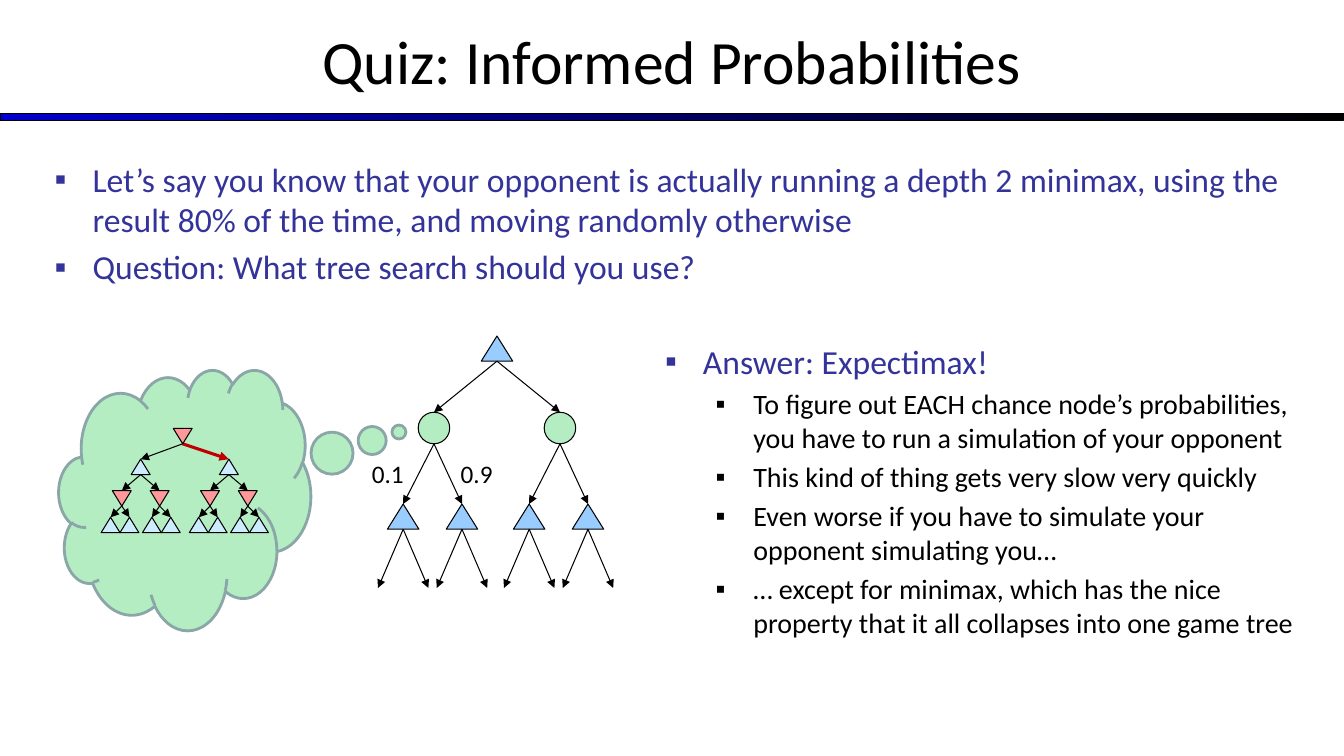
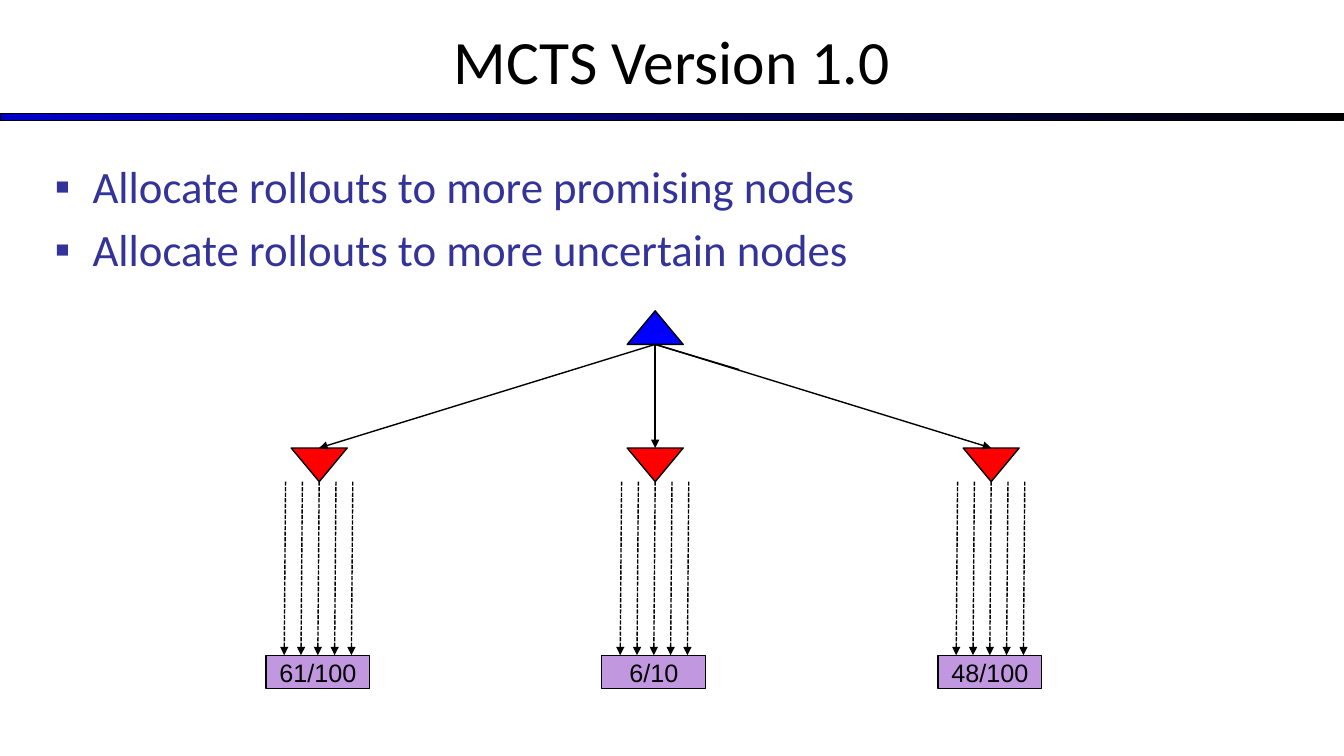
from lxml.etree import SubElement
from pptx import Presentation
from pptx.dml.color import RGBColor
from pptx.enum.dml import MSO_LINE
from pptx.enum.shapes import MSO_CONNECTOR, MSO_SHAPE as SHAPE
from pptx.enum.text import MSO_ANCHOR as ANCHOR, PP_ALIGN as ALIGN
from pptx.oxml.ns import qn
from pptx.util import Pt

BLACK = RGBColor(0x00, 0x00, 0x00)
BAND_BLUE = RGBColor(0x00, 0x00, 0xCC)
INDIGO = RGBColor(0x33, 0x33, 0x99)
MINT = RGBColor(0xB5, 0xED, 0xC2)
CLOUD_EDGE = RGBColor(0x8A, 0xA6, 0xA8)
SKY = RGBColor(0x99, 0xCC, 0xFF)
PALE_SKY = RGBColor(0xCC, 0xEC, 0xFF)
PINK = RGBColor(0xFF, 0x99, 0x99)
DARK_RED = RGBColor(0xC0, 0x00, 0x00)
BLUE = RGBColor(0x00, 0x00, 0xFF)
RED = RGBColor(0xFF, 0x00, 0x00)
LILAC = RGBColor(0xC1, 0x98, 0xE0)

WIDTH, HEIGHT = 960, 540
BULLET_INDENT = 27
LEVEL_STEP = 36


class Deck:
    """Holds the shared style and the slide being drawn; lengths are points."""

    def __init__(self):
        self.prs = Presentation()
        self.prs.slide_width, self.prs.slide_height = Pt(WIDTH), Pt(HEIGHT)
        self.shapes = None

    def new_slide(self, title):
        self.shapes = self.prs.slides.add_slide(self.prs.slide_layouts[6]).shapes
        band = self.shape(SHAPE.RECTANGLE, 0, 81, WIDTH, 5, BLACK)
        band.fill.gradient()
        band.fill.gradient_angle = 0
        for stop, color in zip(band.fill.gradient_stops, (BAND_BLUE, BLACK)):
            stop.color.rgb = color
        self.text(title, 0, -2, WIDTH, 90, 44, ALIGN.CENTER, ANCHOR.MIDDLE)

    def shape(self, kind, left, top, width, height, fill, edge=BLACK, weight=0.75):
        shape = self.shapes.add_shape(kind, Pt(left), Pt(top), Pt(width), Pt(height))
        shape.shadow.inherit = False
        shape.fill.solid()
        shape.fill.fore_color.rgb = fill
        shape.line.color.rgb = edge
        shape.line.width = Pt(weight)
        return shape

    def node(self, x, top, width, height, fill, kind=SHAPE.ISOSCELES_TRIANGLE,
             inverted=False, weight=0.75):
        """Draw a tree node centred on x."""
        node = self.shape(kind, x - width / 2, top, width, height, fill, weight=weight)
        if inverted:
            node.rotation = 180
        return node

    def line(self, start, end, color=BLACK, weight=0.75, dashed=False, arrow=True):
        line = self.shapes.add_connector(
            MSO_CONNECTOR.STRAIGHT, *(Pt(value) for value in (*start, *end)))
        line.line.color.rgb = color
        line.line.width = Pt(weight)
        if dashed:
            line.line.dash_style = MSO_LINE.SQUARE_DOT
        if arrow:
            SubElement(line.line._get_or_add_ln(), qn("a:tailEnd"), type="triangle")
        SubElement(line._element.spPr, qn("a:effectLst"))

    def style(self, paragraph, size, color=BLACK, font="Calibri"):
        paragraph.font.size = Pt(size)
        paragraph.font.name = font
        paragraph.font.color.rgb = color

    def frame(self, left, top, width, height):
        box = self.shapes.add_textbox(Pt(left), Pt(top), Pt(width), Pt(height))
        box.text_frame.word_wrap = True
        return box.text_frame

    def text(self, words, left, top, width, height, size,
             align=ALIGN.LEFT, anchor=ANCHOR.TOP):
        frame = self.frame(left, top, width, height)
        frame.vertical_anchor = anchor
        paragraph = frame.paragraphs[0]
        paragraph.text = words
        paragraph.alignment = align
        self.style(paragraph, size)

    def label(self, shape, words, size, font):
        """Centre one line of text in a shape."""
        frame = shape.text_frame
        frame.word_wrap = False
        frame.vertical_anchor = ANCHOR.MIDDLE
        paragraph = frame.paragraphs[0]
        paragraph.text = words
        paragraph.alignment = ALIGN.CENTER
        self.style(paragraph, size, font=font)

    def bullets(self, items, left, top, width, height, sizes):
        """Write (level, text) items; sizes gives the font size of each level."""
        frame = self.frame(left, top, width, height)
        for index, (level, words) in enumerate(items):
            paragraph = frame.add_paragraph() if index else frame.paragraphs[0]
            paragraph.text = words
            paragraph.level = level
            color = BLACK if level else INDIGO
            props = paragraph._p.get_or_add_pPr()
            props.set("marL", str(Pt(BULLET_INDENT + LEVEL_STEP * level)))
            props.set("indent", str(-Pt(BULLET_INDENT)))
            bullet_color = SubElement(props, qn("a:buClr"))
            SubElement(bullet_color, qn("a:srgbClr"), val=str(color))
            SubElement(props, qn("a:buFont"), typeface="Arial")
            SubElement(props, qn("a:buChar"), char="▪")
            if index:
                paragraph.space_before = Pt(0.2 * sizes[level])
            self.style(paragraph, sizes[level], color)


def opponent_tree(deck):
    """Draw the small minimax tree inside the thought cloud."""
    root_x, width, height = 130.5, 13.5, 11
    root_top, min_top, max_top, leaf_top = 306, 328, 350.5, 369.5
    for branch, color, weight in ((-30, BLACK, 0.75), (33, DARK_RED, 2.25)):
        child = root_x + branch
        deck.line((root_x, root_top + height), (child, min_top), color, weight)
        deck.node(child, min_top, width, height, PALE_SKY)
        for offset, leaves in ((-13.5, (-8, 5.5)), (13.5, (-5.5, 8))):
            reply = child + offset
            deck.line((child, min_top + height), (reply, max_top))
            deck.node(reply, max_top, width, height, PINK, inverted=True)
            for leaf in leaves:
                deck.node(reply + leaf, leaf_top, width, height, PALE_SKY)
                deck.line((reply, max_top + height), (reply + leaf, leaf_top))
    deck.node(root_x, root_top, width, height, PINK, inverted=True)


def expectimax_tree(deck):
    root_x, size, height = 355, 22.5, 18
    root_top, chance_top, max_top, end = 240, 294.5, 360, 420
    deck.node(root_x, root_top, size, height, SKY)
    for chance in (root_x - 45, root_x + 45):
        deck.line((root_x, root_top + height), (chance, chance_top))
        deck.node(chance, chance_top, size, size, MINT, SHAPE.OVAL)
        for choice in (chance - 22, chance + 20):
            deck.line((chance, chance_top + size), (choice, max_top))
            deck.node(choice, max_top, size, height, SKY)
            for spread in (-18, 18):
                deck.line((choice, max_top + height), (choice + spread, end))


def probabilities_slide(deck):
    deck.new_slide("Quiz: Informed Probabilities")
    deck.bullets([
        (0, "Let’s say you know that your opponent is actually running a depth 2 "
            "minimax, using the result 80% of the time, and moving randomly otherwise"),
        (0, "Question: What tree search should you use?"),
    ], 32, 110, 896, 110, (24,))
    cloud = deck.shape(SHAPE.CLOUD_CALLOUT, 42, 264, 180, 186, MINT, CLOUD_EDGE, 2)
    cloud.adjustments[0], cloud.adjustments[1] = 0.85, -0.26
    opponent_tree(deck)
    for probability, left in (("0.1", 258.5), ("0.9", 322)):
        deck.text(probability, left, 324, 50, 29, 18)
    deck.bullets([
        (0, "Answer: Expectimax!"),
        (1, "To figure out EACH chance node’s probabilities, you have to run a "
            "simulation of your opponent"),
        (1, "This kind of thing gets very slow very quickly"),
        (1, "Even worse if you have to simulate your opponent simulating you…"),
        (1, "… except for minimax, which has the nice property that it all "
            "collapses into one game tree"),
    ], 468, 240, 466, 254, (24, 20))
    expectimax_tree(deck)


def rollouts_slide(deck):
    deck.new_slide("MCTS Version 1.0")
    deck.bullets([
        (0, "Allocate rollouts to more promising nodes"),
        (0, "Allocate rollouts to more uncertain nodes"),
    ], 32, 110, 896, 100, (32,))
    root_x, width, height = 468, 40, 24
    root_top, move_top, result_top = 222, 320, 468
    root_base = (root_x, root_top + height)
    deck.node(root_x, root_top, width, height, BLUE, weight=1)
    for stub_end in ((root_x, 270), (528, 264)):
        deck.line(root_base, stub_end, weight=1, arrow=False)
    for column, wins in enumerate(("61/100", "6/10", "48/100")):
        move = root_x + 240 * (column - 1)
        deck.node(move, move_top, width, height, RED, inverted=True, weight=1)
        deck.line(root_base, (move, move_top), weight=1)
        result = deck.node(move - 1, result_top, 74, 24, LILAC, SHAPE.RECTANGLE)
        deck.label(result, wins, 18, "Arial")
        for offset in range(-24, 25, 12):
            rollout = move + offset
            deck.line((rollout, move_top + height), (rollout - 1, result_top),
                      weight=1, dashed=True)


def main():
    deck = Deck()
    probabilities_slide(deck)
    rollouts_slide(deck)
    deck.prs.save("out.pptx")


if __name__ == "__main__":
    main()
